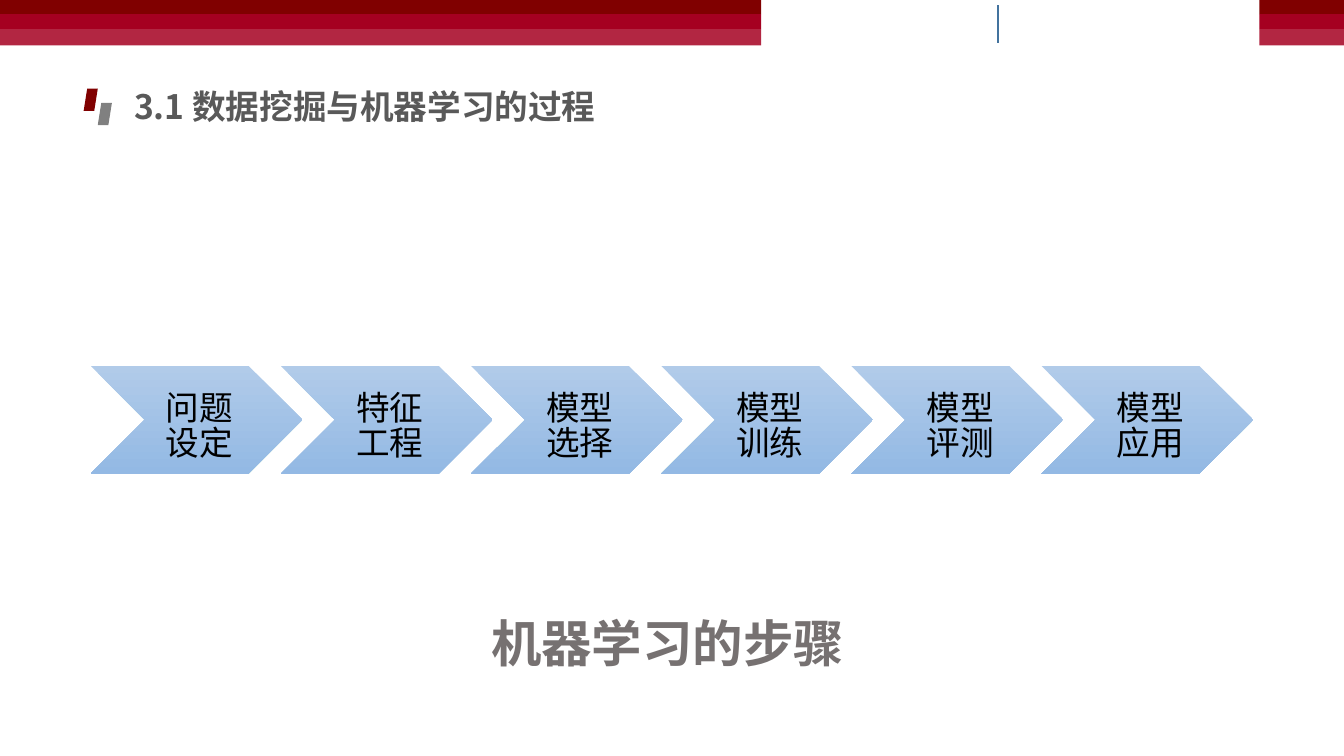
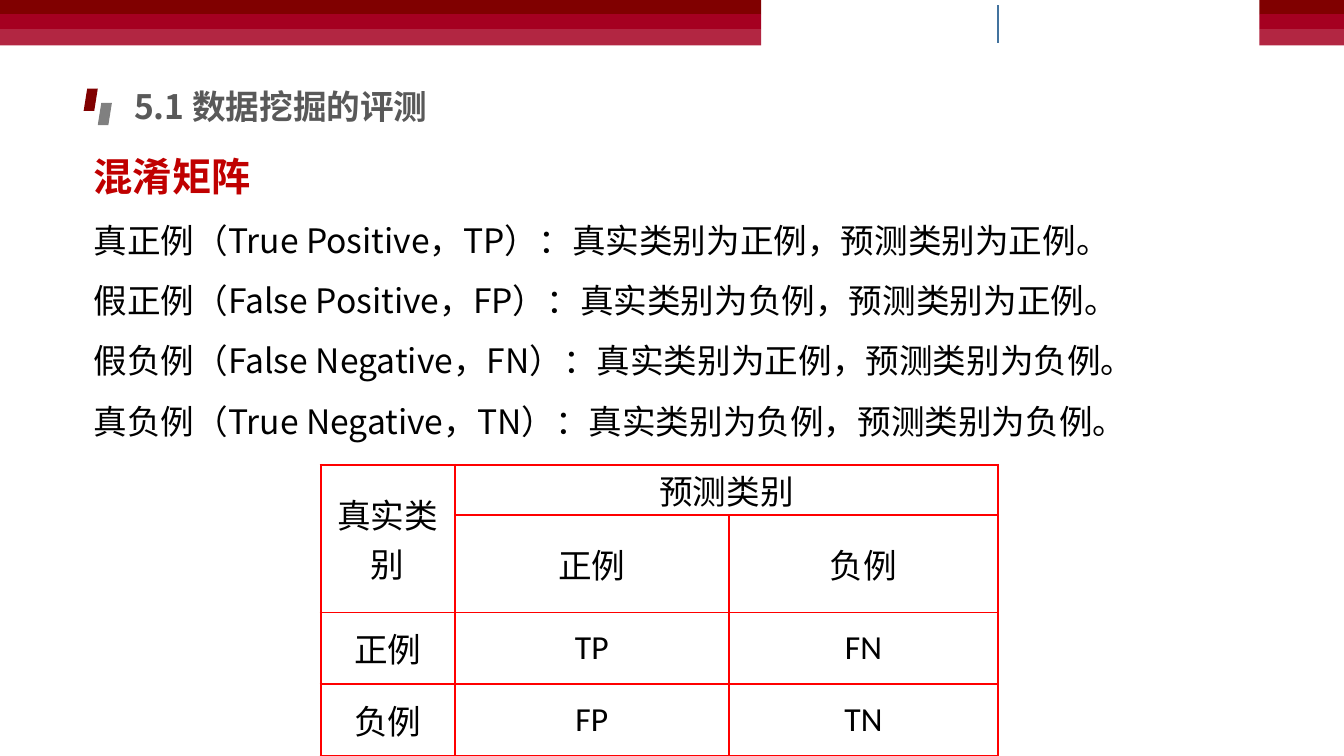
import lxml.etree
import pptx
import pptx.dml.color
import pptx.enum.shapes
import pptx.enum.text
import pptx.oxml.ns
import pptx.util

Inches = pptx.util.Inches
Pt = pptx.util.Pt
Shape = pptx.enum.shapes.MSO_SHAPE
Align = pptx.enum.text.PP_ALIGN
Anchor = pptx.enum.text.MSO_ANCHOR
qn = pptx.oxml.ns.qn

COLORS = {
    "maroon": "800000",
    "crimson": "A50021",
    "rose": "B22642",
    "divider": "43739E",
    "marker": "808080",
    "title": "595959",
    "heading": "C00000",
    "caption": "767171",
    "step_top": "B1CBE9",
    "step_bottom": "93B9E4",
    "grid": "FF0000",
    "black": "000000",
    "white": "FFFFFF",
}
LATIN_FONT = "Calibri"
CHINESE_FONT = "Noto Sans CJK SC"

STEPS = ["问题设定", "特征工程", "模型选择", "模型训练", "模型评测", "模型应用"]
DEFINITIONS = [
    "混淆矩阵",
    "真正例（True Positive，TP）：真实类别为正例，预测类别为正例。",
    "假正例（False Positive，FP）：真实类别为负例，预测类别为正例。",
    "假负例（False Negative，FN）：真实类别为正例，预测类别为负例。",
    "真负例（True Negative，TN）：真实类别为负例，预测类别为负例。",
]
MATRIX = [
    ["真实类别", "预测类别", ""],
    ["", "正例", "负例"],
    ["正例", "TP", "FN"],
    ["负例", "FP", "TN"],
]


def rgb(name):
    return pptx.dml.color.RGBColor.from_string(COLORS[name])


def format_para(para, size, color, font=LATIN_FONT, bold=False, align=Align.CENTER, spacing=1.0):
    para.alignment = align
    para.line_spacing = spacing
    para.space_before = Pt(0)
    for span in para.runs:
        span.font.size = Pt(size)
        span.font.bold = bold
        span.font.color.rgb = rgb(color)
        span.font.name = font
        east_asian = lxml.etree.SubElement(span.font._element, qn("a:ea"))
        east_asian.set("typeface", CHINESE_FONT)


def place(shape, left, top, width, height):
    shape.left, shape.top = Inches(left), Inches(top)
    shape.width, shape.height = Inches(width), Inches(height)


def prepare_frame(shape, anchor=Anchor.TOP):
    frame = shape.text_frame
    frame.word_wrap = True
    frame.auto_size = pptx.enum.text.MSO_AUTO_SIZE.NONE
    frame.vertical_anchor = anchor
    return frame


def add_shape(page, kind, left, top, width, height, color=None):
    shape = page.shapes.add_shape(kind, Inches(left), Inches(top), Inches(width), Inches(height))
    shape.shadow.inherit = False
    shape.line.fill.background()
    if color:
        shape.fill.solid()
        shape.fill.fore_color.rgb = rgb(color)
    return shape


def add_bands(page, left, width):
    bands = [(0, 0.14, "maroon"), (0.14, 0.15, "crimson"), (0.29, 0.16, "rose")]
    return [add_shape(page, Shape.RECTANGLE, left, top, width, height, color)
            for top, height, color in bands]


def add_divider(page, left, top, bottom):
    divider = page.shapes.add_connector(
        pptx.enum.shapes.MSO_CONNECTOR.STRAIGHT,
        Inches(left), Inches(top), Inches(left), Inches(bottom))
    divider.line.color.rgb = rgb("divider")
    divider.line.width = Pt(1)
    lxml.etree.SubElement(divider.element.spPr, qn("a:effectLst"))
    return divider


def add_markers(page, left, top):
    return [add_shape(page, Shape.PARALLELOGRAM, left + index * 0.14, top + index * 0.14, 0.14, 0.22, color)
            for index, color in enumerate(["maroon", "marker"])]


def decorate_master(master, page):
    parts = add_bands(page, 0, 7.55) + add_bands(page, 12.49, 0.87)
    parts += [add_divider(page, 9.9, 0.05, 0.43)] + add_markers(page, 0.83, 0.88)
    for number, part in enumerate(parts, start=100):
        part.element.xpath(".//p:cNvPr")[0].set("id", str(number))
        master.shapes.element.append(part.element)


def set_title(page, text):
    title = page.shapes.title
    place(title, 1.23, 0.8, 6.67, 0.5)
    frame = prepare_frame(title)
    frame.text = text
    format_para(frame.paragraphs[0], 24, "title", CHINESE_FONT, True, Align.LEFT)


def add_process(page, left, top, width, height):
    step_width = 2.1
    pitch = (width - step_width) / (len(STEPS) - 1)
    for index, step in enumerate(STEPS):
        chevron = add_shape(page, Shape.CHEVRON, left + index * pitch, top, step_width, height)
        chevron.fill.gradient()
        chevron.fill.gradient_angle = 270
        for stop, color in zip(chevron.fill.gradient_stops, ["step_top", "step_bottom"]):
            stop.color.rgb = rgb(color)
        frame = prepare_frame(chevron, Anchor.MIDDLE)
        frame.margin_left, frame.margin_right = Inches(0.1), Inches(0.04)
        frame.margin_top, frame.margin_bottom = Inches(0.2), Inches(0.04)
        frame.text = step
        format_para(frame.paragraphs[0], 24, "black", spacing=0.85)


def add_caption(page, text, left, top, width, height):
    box = page.shapes.add_textbox(Inches(left), Inches(top), Inches(width), Inches(height))
    frame = prepare_frame(box)
    frame.text = text
    format_para(frame.paragraphs[0], 36, "caption", bold=True, spacing=0.9)


def fill_definitions(page, left, top, width, height):
    body = page.placeholders[1]
    place(body, left, top, width, height)
    frame = prepare_frame(body)
    frame.text = "\n".join(DEFINITIONS)
    for index, para in enumerate(frame.paragraphs):
        properties = para._p.get_or_add_pPr()
        properties.set("marL", "0")
        properties.set("indent", "0")
        lxml.etree.SubElement(properties, qn("a:buNone"))
        if index == 0:
            format_para(para, 28, "heading", CHINESE_FONT, True, Align.LEFT)
        else:
            format_para(para, 24, "black", CHINESE_FONT, False, Align.LEFT, 1.5)


def set_borders(cell, color, width):
    properties = cell._tc.get_or_add_tcPr()
    for index, side in enumerate(["a:lnL", "a:lnR", "a:lnT", "a:lnB"]):
        border = lxml.etree.Element(qn(side), w=str(Pt(width)))
        solid = lxml.etree.SubElement(border, qn("a:solidFill"))
        lxml.etree.SubElement(solid, qn("a:srgbClr"), val=COLORS[color])
        properties.insert(index, border)


def add_matrix(page, left, top, widths, heights):
    frame = page.shapes.add_table(
        len(heights), len(widths), Inches(left), Inches(top),
        Inches(sum(widths)), Inches(sum(heights)))
    table = frame.table
    table.first_row = table.horz_banding = False
    for column, width in zip(table.columns, widths):
        column.width = Inches(width)
    for row, height, texts in zip(table.rows, heights, MATRIX):
        row.height = Inches(height)
        for cell, text in zip(row.cells, texts):
            cell.fill.solid()
            cell.fill.fore_color.rgb = rgb("white")
            set_borders(cell, "grid", 1.5)
            cell.vertical_anchor = Anchor.MIDDLE
            cell.margin_top = cell.margin_bottom = 0
            cell.text_frame.text = text
            format_para(cell.text_frame.paragraphs[0], 24, "black")
    table.cell(0, 0).merge(table.cell(1, 0))
    table.cell(0, 1).merge(table.cell(0, 2))


def build_process_slide(page):
    set_title(page, "3.1 数据挖掘与机器学习的过程")
    add_process(page, 0.9, 3.63, 11.53, 1.07)
    add_caption(page, "机器学习的步骤", 2.31, 6.09, 8.62, 0.39)


def build_matrix_slide(page):
    set_title(page, "5.1 数据挖掘的评测")
    fill_definitions(page, 0.83, 1.46, 11.52, 2.92)
    add_matrix(page, 3.18, 4.61, [1.33, 2.72, 2.67], [0.5, 0.9, 0.71, 0.71])


def main():
    deck = pptx.Presentation()
    deck.slide_width, deck.slide_height = Inches(13.33), Inches(7.5)
    process_page = deck.slides.add_slide(deck.slide_layouts.get_by_name("Title Only"))
    decorate_master(deck.slide_master, process_page)
    build_process_slide(process_page)
    build_matrix_slide(deck.slides.add_slide(deck.slide_layouts.get_by_name("Title and Content")))
    deck.save("out.pptx")


if __name__ == "__main__":
    main()
